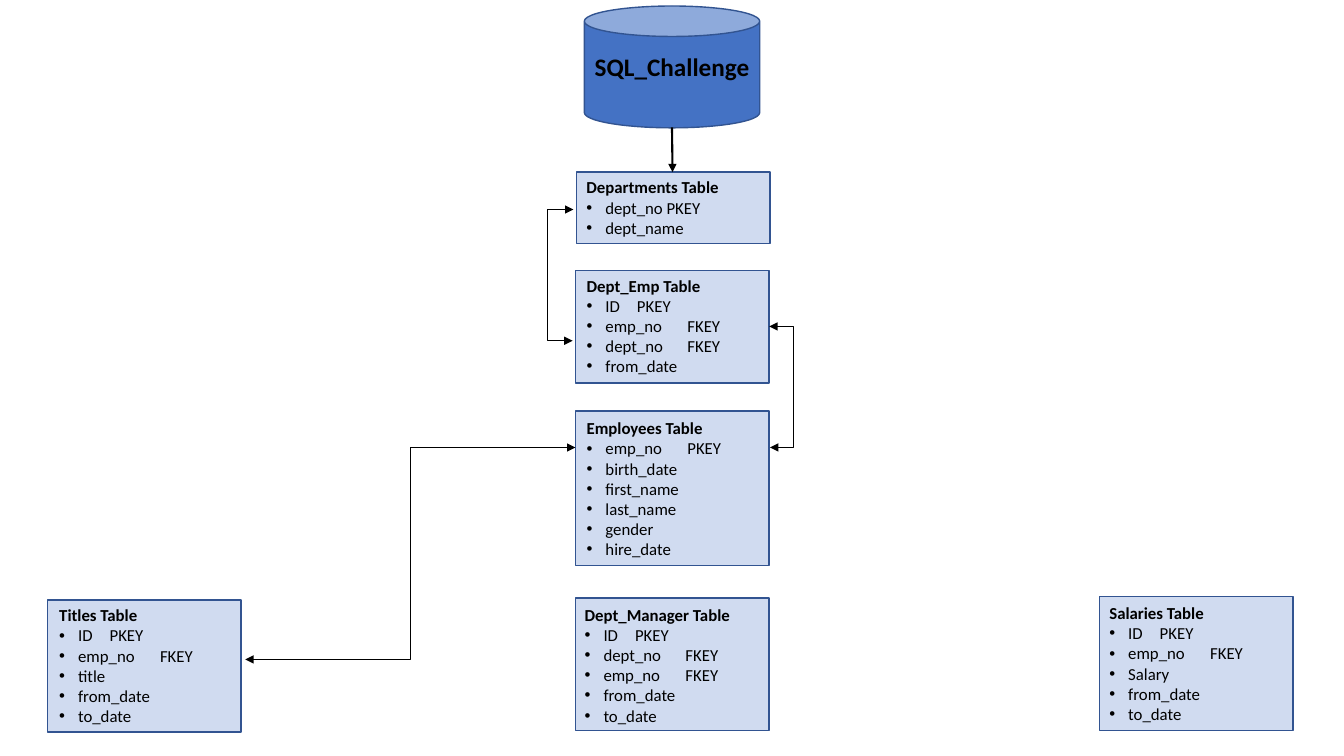
from lxml.etree import SubElement
from pptx import Presentation
from pptx.dml.color import RGBColor
from pptx.enum.shapes import MSO_CONNECTOR, MSO_SHAPE
from pptx.enum.text import MSO_ANCHOR, PP_ALIGN
from pptx.oxml.ns import qn
from pptx.util import Pt

COLORS = {"database": "4472C4", "border": "325491", "ink": "000000"}
TABLE_WIDTH = 138.2
BULLET_INDENT = 13.5
INSET_X, INSET_Y = 7.2, 3.6

# title, (left, top, height), (text shift right, text shift down), columns
TABLES = [
    ("Departments Table", (411.8, 123, 51.1), (0, 0),
     ["dept_no PKEY", "dept_name"]),
    ("Dept_Emp Table", (411.2, 193.2, 80.4), (0.6, 0),
     ["ID\tPKEY", "emp_no\tFKEY", "dept_no\tFKEY", "from_date"]),
    ("Dept_Manager Table", (411.2, 427.2, 94.5), (-0.8, 1),
     ["ID\tPKEY", "dept_no\tFKEY", "emp_no\tFKEY", "from_date", "to_date"]),
    ("Employees Table", (411.2, 293.6, 110.3), (0.6, 1.4),
     ["emp_no\tPKEY", "birth_date", "first_name", "last_name", "gender",
      "hire_date"]),
    ("Salaries Table", (785.3, 426.2, 95.5), (0, 0.8),
     ["ID\tPKEY", "emp_no\tFKEY", "Salary", "from_date", "to_date"]),
    ("Titles Table", (34, 428.6, 94.3), (1.1, 0),
     ["ID\tPKEY", "emp_no\tFKEY", "title", "from_date", "to_date"]),
]

# start, end, x of the vertical stretch
KEY_LINKS = [
    ((409.6, 149.6), (409, 243.4), 391),
    ((549.4, 233.2), (550, 319.6), 567),
    ((411, 319.6), (175.2, 471), 293),
]


def color(name):
    return RGBColor.from_string(COLORS[name])


def apply_format(target, values):
    for attribute, value in values.items():
        setattr(target, attribute, value)


def add_block(slide, kind, left, top, width, height, frame_format):
    block = slide.shapes.add_shape(kind, Pt(left), Pt(top), Pt(width), Pt(height))
    block.shadow.inherit = False
    block.fill.solid()
    block.fill.fore_color.rgb = color("database")
    block.line.color.rgb = color("border")
    block.line.width = Pt(1)
    apply_format(block.text_frame, frame_format)
    return block


def write(paragraph, text, size, bold, align):
    paragraph.alignment = align
    run = paragraph.add_run()
    run.text = text
    apply_format(run.font, {"name": "Calibri", "size": Pt(size), "bold": bold})
    run.font.color.rgb = color("ink")


def add_database(slide, name):
    database = add_block(slide, MSO_SHAPE.CAN, 417.4, 4.3, 125.3, 87, {
        "word_wrap": False, "vertical_anchor": MSO_ANCHOR.MIDDLE,
        "margin_left": 0, "margin_right": 0,
        "margin_top": 0, "margin_bottom": Pt(11)})
    write(database.text_frame.paragraphs[0], name, 18, True, PP_ALIGN.CENTER)


def add_table_box(slide, title, place, shift, columns):
    left, top, height = place
    right, down = shift
    box = add_block(slide, MSO_SHAPE.RECTANGLE, left, top, TABLE_WIDTH, height, {
        "word_wrap": True, "vertical_anchor": MSO_ANCHOR.TOP,
        "margin_left": Pt(INSET_X + right), "margin_right": Pt(INSET_X),
        "margin_top": Pt(INSET_Y + down), "margin_bottom": 0})
    # Pale, see-through fill
    fill_color = box.fill._xPr.find(qn("a:solidFill"))[0]
    SubElement(fill_color, qn("a:alpha"), val="25000")

    frame = box.text_frame
    write(frame.paragraphs[0], title, 12, True, PP_ALIGN.LEFT)
    for column in columns:
        paragraph = frame.add_paragraph()
        write(paragraph, column, 12, False, PP_ALIGN.LEFT)
        properties = paragraph._p.get_or_add_pPr()
        properties.set("marL", str(Pt(BULLET_INDENT)))
        properties.set("indent", str(-Pt(BULLET_INDENT)))
        SubElement(properties, qn("a:buFont"), typeface="Arial")
        SubElement(properties, qn("a:buChar"), char="•")


def add_arrow(slide, kind, start, end, weight, arrowheads):
    arrow = slide.shapes.add_connector(kind, *map(Pt, start + end))
    arrow.line.color.rgb = color("ink")
    arrow.line.width = Pt(weight)
    outline = arrow.line._get_or_add_ln()
    for arrowhead in arrowheads:
        SubElement(outline, qn(f"a:{arrowhead}"), type="triangle")
    SubElement(arrow._element.spPr, qn("a:effectLst"))
    return arrow


def add_key_link(slide, start, end, bend_x):
    link = add_arrow(slide, MSO_CONNECTOR.ELBOW, start, end, 1,
                     ["headEnd", "tailEnd"])
    bend = round((bend_x - start[0]) / (end[0] - start[0]) * 100000)
    geometry = link._element.spPr.find(qn("a:prstGeom"))
    guides = geometry.find(qn("a:avLst"))
    if guides is None:
        guides = SubElement(geometry, qn("a:avLst"))
    SubElement(guides, qn("a:gd"), name="adj1", fmla=f"val {bend}")


def main():
    presentation = Presentation()
    apply_format(presentation, {"slide_width": Pt(960), "slide_height": Pt(540)})
    slide = presentation.slides.add_slide(presentation.slide_layouts[6])

    # Database and its tables
    add_database(slide, "SQL_Challenge")
    for table in TABLES:
        add_table_box(slide, *table)

    # Arrow from the database, then links between keys
    add_arrow(slide, MSO_CONNECTOR.STRAIGHT, (480, 91), (480.4, 123), 1.5,
              ["tailEnd"])
    for link in KEY_LINKS:
        add_key_link(slide, *link)

    presentation.save("out.pptx")


main()
